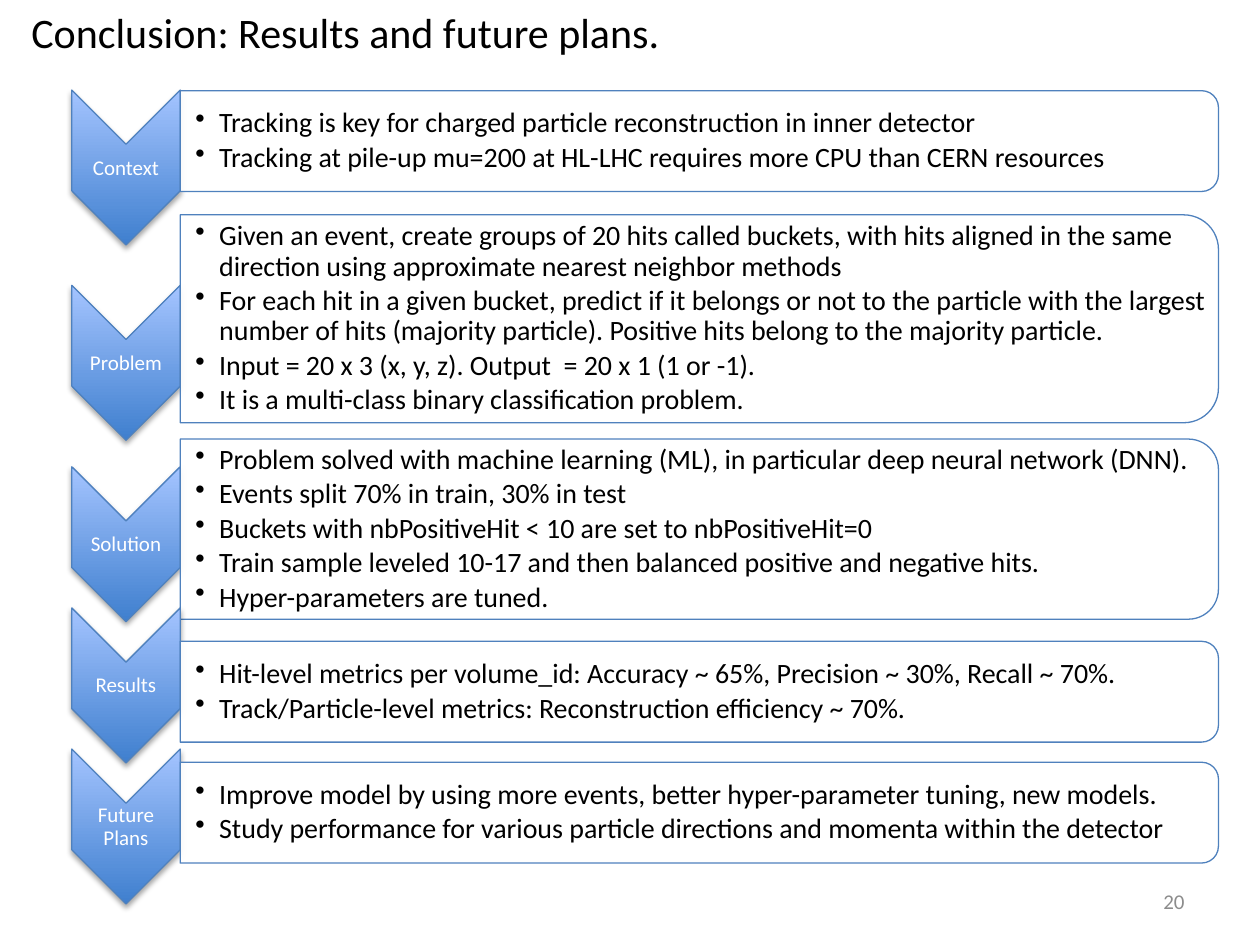
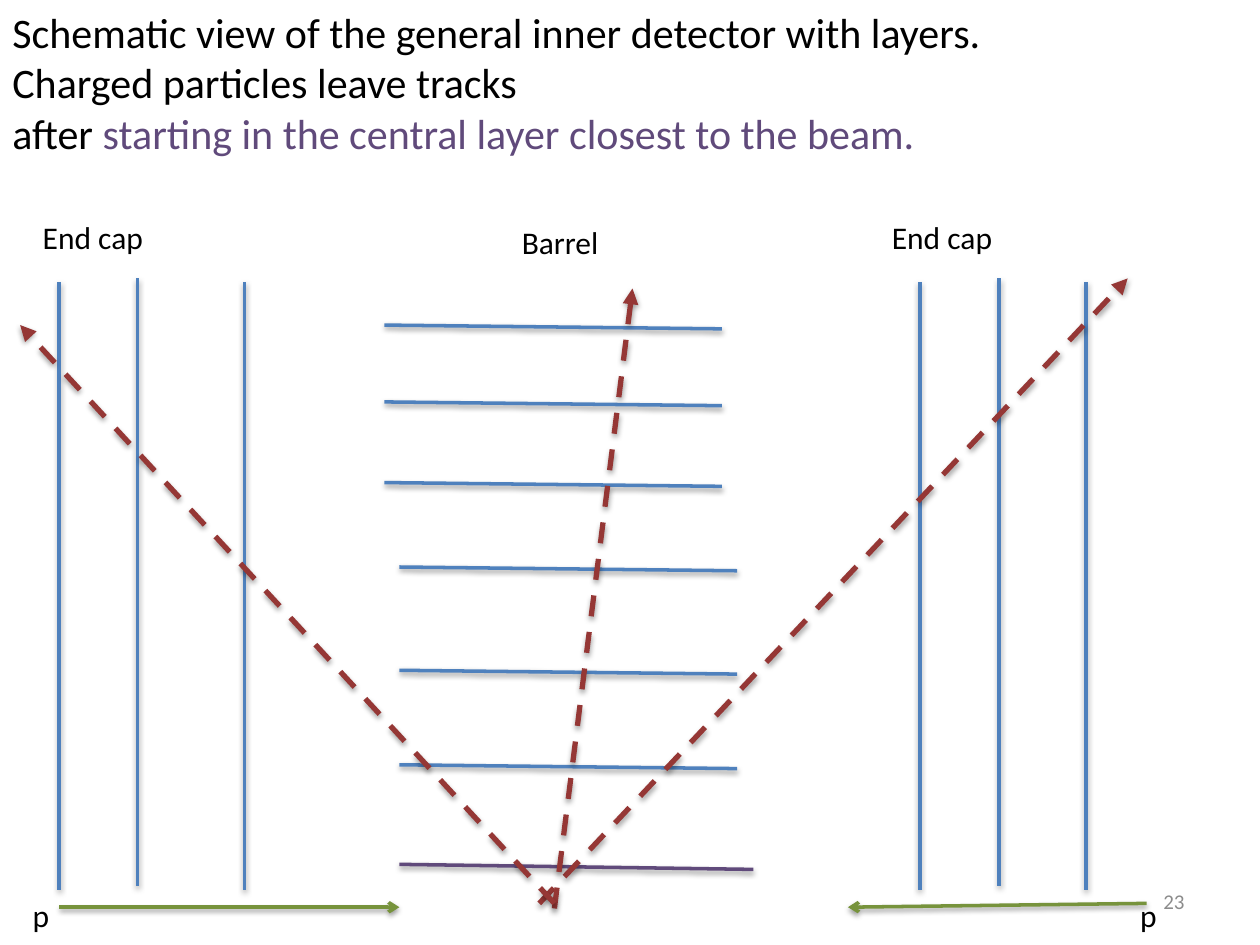
from dataclasses import dataclass

from lxml.etree import SubElement
from pptx import Presentation
from pptx.dml.color import RGBColor
from pptx.enum.dml import MSO_LINE
from pptx.enum.shapes import MSO_CONNECTOR, MSO_SHAPE
from pptx.enum.text import MSO_ANCHOR, PP_ALIGN
from pptx.oxml.ns import qn
from pptx.util import Inches, Pt


@dataclass(frozen=True)
class Theme:
    font: str = "Calibri"
    ink: str = "000000"
    paper: str = "FFFFFF"
    blue: str = "4F81BD"
    deep_blue: str = "3F7FCE"
    pale_blue: str = "A4C4FF"
    purple: str = "604A7B"
    green: str = "77933C"
    red: str = "953735"
    grey: str = "8C8C8C"
    title: int = 24
    label: int = 18
    body: int = 16
    small: int = 12


THEME = Theme()
DEFAULT_INSETS = (0.1, 0.05, 0.1, 0.05)

STEPS = [
    ("Context", 1.33, 1.12, 0.8, [
        "Tracking is key for charged particle reconstruction in inner detector",
        "Tracking at pile-up mu=200 at HL-LHC requires more CPU than CERN resources",
    ]),
    ("Problem", 2.88, 2.53, 1.65, [
        "Given an event, create groups of 20 hits called buckets, with hits aligned in the same "
        "direction using approximate nearest neighbor methods",
        "For each hit in a given bucket, predict if it belongs or not to the particle with the largest "
        "number of hits (majority particle). Positive hits belong to the majority particle.",
        "Input = 20 x 3 (x, y, z). Output  = 20 x 1 (1 or -1).",
        "It is a multi-class binary classification problem.",
    ]),
    ("Solution", 4.32, 4.2, 1.43, [
        "Problem solved with machine learning (ML), in particular deep neural network (DNN).",
        "Events split 70% in train, 30% in test",
        "Buckets with nbPositiveHit < 10 are set to nbPositiveHit=0",
        "Train sample leveled 10-17 and then balanced positive and negative hits.",
        "Hyper-parameters are tuned.",
    ]),
    ("Results", 5.44, 5.49, 0.8, [
        "Hit-level metrics per volume_id: Accuracy ~ 65%, Precision ~ 30%, Recall ~ 70%.",
        "Track/Particle-level metrics: Reconstruction efficiency ~ 70%.",
    ]),
    ("Future Plans", 6.56, 6.45, 0.8, [
        "Improve model by using more events, better hyper-parameter tuning, new models.",
        "Study performance for various particle directions and momenta within the detector",
    ]),
]


def rgb(color):
    return RGBColor.from_string(color)


class Deck:
    def __init__(self, theme):
        self.theme = theme
        self.presentation = Presentation()
        self.presentation.slide_width = Inches(10)
        self.presentation.slide_height = Inches(7.5)
        self.slide = None

    def new_slide(self, number):
        self.slide = self.presentation.slides.add_slide(self.presentation.slide_layouts[6])
        self.text([str(number)], 7.17, 6.95, 2.33, 0.4, self.theme.small, self.theme.grey,
                  align=PP_ALIGN.RIGHT, anchor=MSO_ANCHOR.MIDDLE)

    def text(self, lines, left, top, width, height, size, color=None, align=PP_ALIGN.LEFT,
             anchor=MSO_ANCHOR.TOP, insets=DEFAULT_INSETS, spacing=None, bullets=False):
        box = self.slide.shapes.add_textbox(Inches(left), Inches(top), Inches(width), Inches(height))
        frame = box.text_frame
        frame.word_wrap = True
        frame.vertical_anchor = anchor
        (frame.margin_left, frame.margin_top,
         frame.margin_right, frame.margin_bottom) = map(Inches, insets)
        for index, line in enumerate(lines):
            paragraph = frame.paragraphs[0] if index == 0 else frame.add_paragraph()
            paragraph.add_run().text = line
            paragraph.alignment = align
            if spacing:
                paragraph.line_spacing = spacing
            if bullets:
                paragraph.space_after = Pt(0.15 * size)
                properties = paragraph._p.get_or_add_pPr()
                properties.set("marL", str(Inches(0.19)))
                properties.set("indent", str(-Inches(0.19)))
                SubElement(properties, qn("a:buChar"), char="•")
            paragraph.font.name = self.theme.font
            paragraph.font.size = Pt(size)
            paragraph.font.color.rgb = rgb(color or self.theme.ink)
        return frame

    def shadow(self, shape, opacity, distance):
        properties = shape._element.spPr
        effects = properties.find(qn("a:effectLst"))
        if effects is None:
            effects = SubElement(properties, qn("a:effectLst"))
        outer = SubElement(effects, qn("a:outerShdw"), blurRad=str(Pt(3.1)), dist=str(Pt(distance)),
                           dir="5400000", rotWithShape="0")
        tint = SubElement(outer, qn("a:srgbClr"), val=self.theme.ink)
        SubElement(tint, qn("a:alpha"), val=str(opacity * 1000))

    def turned_shape(self, preset, center_x, center_y, width, height):
        shape = self.slide.shapes.add_shape(
            preset, Inches(center_x - height / 2), Inches(center_y - width / 2),
            Inches(height), Inches(width))
        shape.rotation = 90
        shape.line.color.rgb = rgb(self.theme.blue)
        shape.line.width = Pt(0.75)
        shape.shadow.inherit = False
        return shape

    def chevron(self, label, center_y):
        center_x, width, height = 1, 0.86, 1.23
        chevron = self.turned_shape(MSO_SHAPE.CHEVRON, center_x, center_y, width, height)
        chevron.fill.gradient()
        chevron.fill.gradient_angle = 90
        for stop, color in zip(chevron.fill.gradient_stops, (self.theme.deep_blue, self.theme.pale_blue)):
            stop.color.rgb = rgb(color)
        chevron._element.spPr.find(qn("a:gradFill")).set("rotWithShape", "0")
        self.shadow(chevron, 35, 1.8)
        self.text([label], center_x - width / 2, center_y - 0.18, width, 0.37, self.theme.small,
                  self.theme.paper, PP_ALIGN.CENTER, MSO_ANCHOR.MIDDLE, (0.01,) * 4, 0.9)

    def panel(self, points, center_y, height):
        left, width = 1.43, 8.24
        panel = self.turned_shape(MSO_SHAPE.ROUND_2_SAME_RECTANGLE, left + width / 2, center_y, width, height)
        panel.fill.solid()
        panel.fill.fore_color.rgb = rgb(self.theme.paper)
        tint = panel._element.spPr.find(qn("a:solidFill"))[0]
        SubElement(tint, qn("a:alpha"), val="90000")
        corner = 0.05 * height
        self.text(points, left, center_y - height / 2 + corner, width - corner, height - 2 * corner,
                  self.theme.body, anchor=MSO_ANCHOR.MIDDLE, insets=(0.12, 0.01, 0.01, 0.01),
                  spacing=0.9, bullets=True)

    def line(self, start, end, color, width=2, arrow=None, dashed=False):
        line = self.slide.shapes.add_connector(MSO_CONNECTOR.STRAIGHT, *map(Inches, start + end))
        line.line.color.rgb = rgb(color)
        line.line.width = Pt(width)
        if dashed:
            line.line.dash_style = MSO_LINE.DASH
        if arrow:
            SubElement(line.line._get_or_add_ln(), qn("a:tailEnd"), type=arrow)
        self.shadow(line, 38, 1.6)


def conclusion(deck):
    deck.new_slide(20)
    deck.text(["Conclusion: Results and future plans."], 0.15, 0, 9.85, 0.5, THEME.title)
    for label, chevron_y, panel_y, panel_height, points in STEPS:
        deck.chevron(label, chevron_y)
        deck.panel(points, panel_y, panel_height)


def detector(deck):
    deck.new_slide(23)
    heading = deck.text(["Schematic view of the general inner detector with layers.",
                         "Charged particles leave tracks", "after "], 0, 0, 10, 1.72, THEME.title)
    origin = heading.paragraphs[-1].add_run()
    origin.text = "starting in the central layer closest to the beam."
    origin.font.color.rgb = rgb(THEME.purple)

    for left, layer_tops in ((3.05, (2.58, 3.19, 3.83)), (3.17, (4.5, 5.32, 6.07))):
        for top in layer_tops:
            deck.line((left, top), (left + 2.68, top + 0.03), THEME.blue)
    deck.line((3.17, 6.86), (5.98, 6.9), THEME.purple)

    for cap_layers in ((0.47, 1.09, 1.94), (7.3, 7.93, 8.62)):
        for x, top in zip(cap_layers, (2.24, 2.21, 2.24)):
            deck.line((x, top), (x, top + 4.82), THEME.blue)

    for start, end in (((0.47, 7.2), (3.17, 7.2)), ((9.1, 7.17), (6.73, 7.2))):
        deck.line(start, end, THEME.green, arrow="arrow")
    for proton_left in (0.16, 8.95):
        deck.text(["p"], proton_left, 7.06, 0.31, 0.4, THEME.label)

    for start, end in (((4.28, 7.17), (8.95, 2.21)), ((4.4, 7.21), (5.02, 2.29)),
                       ((4.4, 7.17), (0.16, 2.58))):
        deck.line(start, end, THEME.red, width=3, arrow="triangle", dashed=True)

    deck.text(["Barrel"], 3.49, 1.72, 1.91, 0.4, THEME.label, align=PP_ALIGN.CENTER)
    for cap_left in (0.24, 6.98):
        deck.text(["End cap"], cap_left, 1.68, 1.91, 0.4, THEME.label)


def main():
    deck = Deck(THEME)
    conclusion(deck)
    detector(deck)
    deck.presentation.save("out.pptx")


if __name__ == "__main__":
    main()
